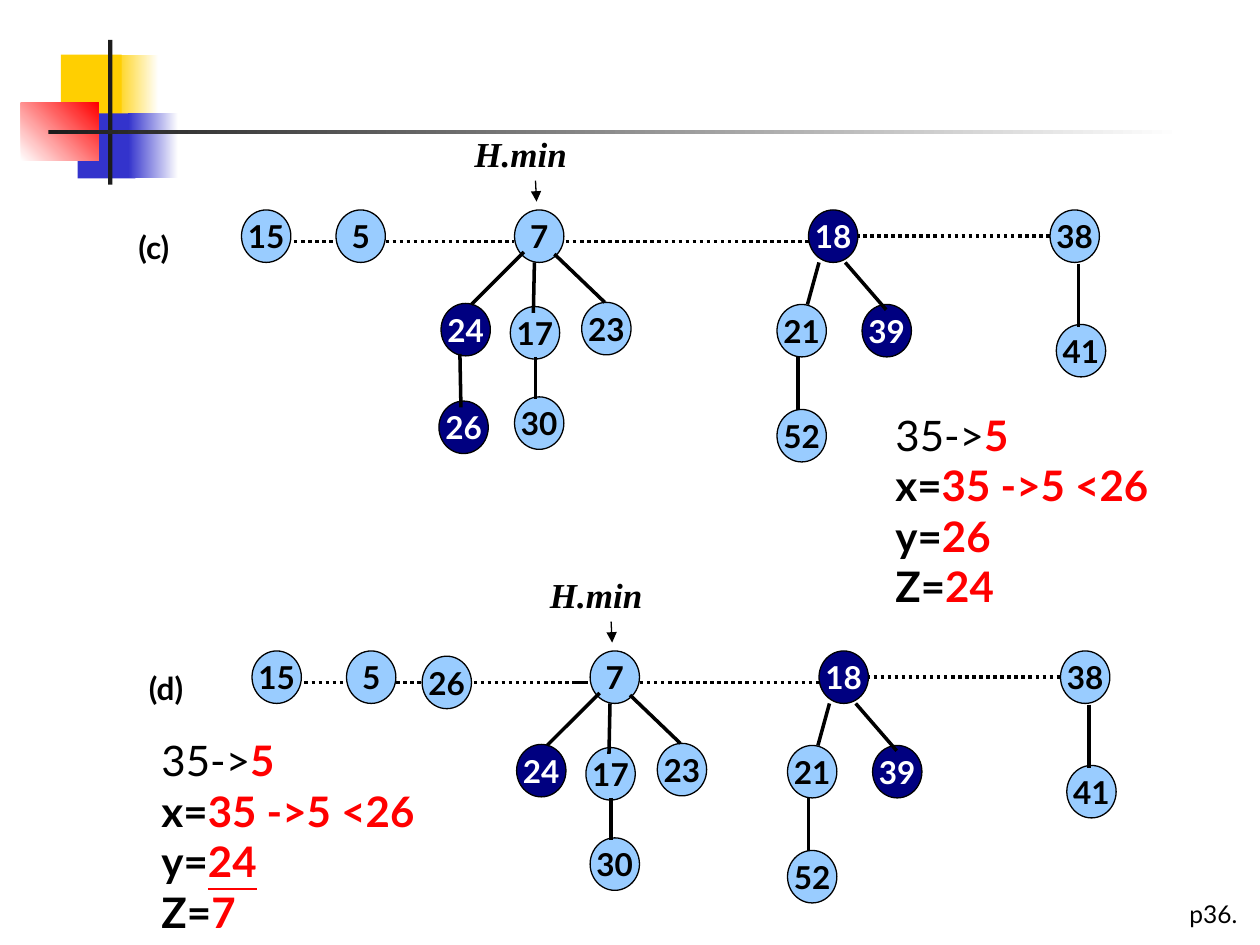
from typing import NamedTuple

from lxml import etree
from pptx import Presentation
from pptx.dml.color import RGBColor
from pptx.enum.dml import MSO_LINE
from pptx.enum.shapes import MSO_CONNECTOR, MSO_SHAPE
from pptx.enum.text import MSO_ANCHOR, MSO_AUTO_SIZE, PP_ALIGN
from pptx.oxml.ns import qn
from pptx.util import Emu, Inches, Pt

OVAL, RECT = MSO_SHAPE.OVAL, MSO_SHAPE.RECTANGLE
STRAIGHT, DOT = MSO_CONNECTOR.STRAIGHT, MSO_LINE.ROUND_DOT
CENTER, MIDDLE = PP_ALIGN.CENTER, MSO_ANCHOR.MIDDLE
GROW = MSO_AUTO_SIZE.SHAPE_TO_FIT_TEXT

CELL = Inches(10) // 120  # the slide is a grid of 120 columns by 90 rows
BLACK, WHITE, RED = "000000", "FFFFFF", "FF0000"
SKY, NAVY = "99CCFF", "000080"
GOLD, BLUE, INK = "FFCF01", "3333CC", "1C1C1C"
SANS, SERIF = "Lato", "Times New Roman"


class Node(NamedTuple):
    key: str
    col: float
    row: float
    dark: bool = False


class Edge(NamedTuple):
    x1: float
    y1: float
    x2: float
    y2: float


class Part(NamedTuple):
    nodes: list[Node]
    edges: list[Edge]
    dots: list[Edge]


class Heap(NamedTuple):
    label: str
    side: float  # shift of the outer parts
    mid: float  # shift of the tree below the minimum
    drop: float
    extra: Part


class Band(NamedTuple):
    col: float
    row: float
    wide: float
    high: float
    start: str
    end: str = ""
    angle: float = 0


BANDS = [
    Band(10.8, 5.2, 4.3, 6.2, GOLD, WHITE),
    Band(5.8, 5.2, 5.8, 6.2, GOLD),
    Band(7.4, 10.8, 5.5, 6.2, BLUE),
    Band(12.2, 10.8, 4.8, 6.2, BLUE, WHITE),
    Band(2, 9.8, 7.4, 5.5, WHITE, RED, 45),
    Band(10.3, 3.8, 0.4, 13.8, INK),
    Band(4.6, 12.4, 108, 0.4, INK, WHITE),
]

SIDES = Part(
    [Node("15", 23, 20), Node("5", 32, 20), Node("18", 77, 20, True),
     Node("38", 100, 20), Node("21", 74, 29), Node("39", 82.1, 29, True),
     Node("41", 100.6, 30.9), Node("52", 74, 39)],
    [Edge(102.7, 25.1, 102.7, 31.1), Edge(80.5, 25, 84.4, 29.5),
     Edge(78, 25, 76.9, 29), Edge(76, 34, 76, 39)],
    [Edge(53.9, 23, 77.9, 23), Edge(77.5, 22.5, 100, 22.5)],
)
MIDDLES = Part(
    [Node("7", 49, 20), Node("24", 42, 28.9, True), Node("17", 48.6, 29.2),
     Node("23", 55.4, 28.8), Node("30", 49, 37.8)],
    [Edge(49.9, 24, 44.9, 29), Edge(50.9, 25, 50.8, 29.8),
     Edge(52.8, 24.2, 57.6, 28.8), Edge(51, 34, 51, 38)],
    [],
)
HEAPS = [
    Heap("(c)", 0, 0, 0, Part([Node("26", 41.8, 38.2, True)],
                              [Edge(43.8, 33.7, 43.9, 38.8)],
                              [Edge(28, 23, 49, 23)])),
    Heap("(d)", 1, 7.2, 42, Part([Node("26", 40.2, 62.5)], [],
                                 [Edge(29, 65, 56, 65)])),
]


def grid(*cells: float) -> list[Emu]:
    return [Emu(round(c * CELL)) for c in cells]


def rgb(code: str) -> RGBColor:
    return RGBColor.from_string(code)


def style(font, size: float, name: str = SANS, color: str = BLACK,
          bold: bool = False) -> None:
    font.size, font.name, font.bold = Pt(size), name, bold
    font.color.rgb = rgb(color)


def draw_band(slide, band: Band) -> None:
    shape = slide.shapes.add_shape(RECT, *grid(*band[:4]))
    shape.shadow.inherit = False
    shape.line.fill.background()
    if band.end:
        shape.fill.gradient()
        shape.fill.gradient_angle = band.angle
        for stop, code in zip(shape.fill.gradient_stops, band[4:6]):
            stop.color.rgb = rgb(code)
    else:
        shape.fill.solid()
        shape.fill.fore_color.rgb = rgb(band.start)


def add_box(slide, *cells: float):
    frame = slide.shapes.add_textbox(*grid(*cells)).text_frame
    frame.word_wrap, frame.auto_size = False, GROW
    return frame


def add_word(slide, text: str, *cells: float):
    line = add_box(slide, *cells).paragraphs[0]
    line.text = text
    return line.font


def draw_line(slide, edge: Edge, dx: float = 0, dy: float = 0,
              width: float = 2):
    x1, y1, x2, y2 = edge
    link = slide.shapes.add_connector(
        STRAIGHT, *grid(x1 + dx, y1 + dy, x2 + dx, y2 + dy))
    link.line.width = Pt(width)
    link.line.color.rgb = rgb(BLACK)
    etree.SubElement(link._element.spPr, qn("a:effectLst"))
    return link


def draw_node(slide, node: Node, dx: float, dy: float) -> None:
    shape = slide.shapes.add_shape(
        OVAL, *grid(node.col + dx, node.row + dy, 4.7, 5))
    shape.shadow.inherit = False
    shape.fill.solid()
    shape.fill.fore_color.rgb = rgb(NAVY if node.dark else SKY)
    shape.line.color.rgb = rgb(BLACK)
    shape.line.width = Pt(0.75)
    frame = shape.text_frame
    frame.word_wrap, frame.vertical_anchor = False, MIDDLE
    line = frame.paragraphs[0]
    line.text, line.alignment = node.key, CENTER
    style(line.font, 18, color=WHITE if node.dark else BLACK, bold=True)


def draw_heap(slide, heap: Heap) -> None:
    parts = [(SIDES, heap.side, heap.drop), (MIDDLES, heap.mid, heap.drop),
             (heap.extra, 0, 0)]
    for part, dx, dy in parts:
        for edge in part.dots:
            draw_line(slide, edge, dx, dy).line.dash_style = DOT
    for part, dx, dy in parts:
        for node in part.nodes:
            draw_node(slide, node, dx, dy)
    for part, dx, dy in parts:
        for edge in part.edges:
            draw_line(slide, edge, dx, dy)
    style(add_word(slide, heap.label, 12 + heap.side, 21.1 + heap.drop,
                   6.8, 4.8), 18, bold=True)
    font = add_word(slide, "H.min", 44 + heap.mid, 12 + heap.drop, 11.2, 5.2)
    style(font, 20, SERIF, bold=True)
    font.italic = True
    arrow = draw_line(slide, Edge(51, 17.2, 51.1, 19.2),
                      heap.mid, heap.drop, 0.75)
    etree.SubElement(arrow.line._get_or_add_ln(), qn("a:tailEnd"),
                     type="triangle")


def draw_steps(slide, col: float, row: float, y: str, z: str,
               under: bool = False) -> None:
    frame = add_box(slide, col, row, 31.7, 20.6)
    steps = [("35->", "5"), ("x=", "35 ->5 <26"), ("y=", y), ("Z=", z)]
    for i, (name, value) in enumerate(steps):
        line = frame.add_paragraph() if i else frame.paragraphs[0]
        head, tail = line.add_run(), line.add_run()
        head.text, tail.text = name, value
        style(head.font, 24, bold=i > 0)
        style(tail.font, 24, color=RED, bold=True)
        if under and name == "y=":
            tail.font.underline = True


def main() -> None:
    deck = Presentation()
    deck.slide_width, deck.slide_height = grid(120, 90)
    slide = deck.slides.add_slide(deck.slide_layouts[6])
    for band in BANDS:
        draw_band(slide, band)
    style(add_word(slide, "p36.", 112.1, 85, 7.9, 4), 14)
    for heap in HEAPS:
        draw_heap(slide, heap)
    draw_steps(slide, 84.1, 38.4, "26", "24")
    draw_steps(slide, 14.2, 69.4, "24", "7", under=True)
    deck.save("out.pptx")


if __name__ == "__main__":
    main()
